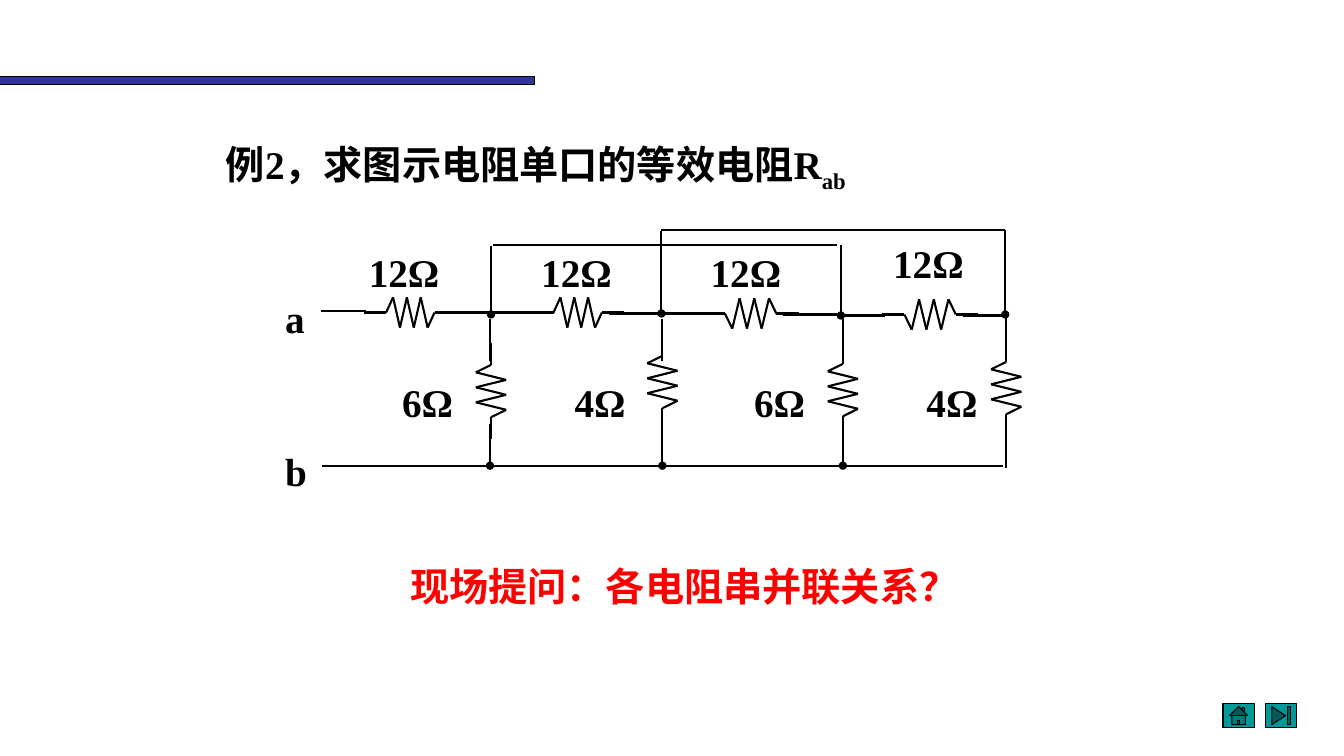
from dataclasses import dataclass
from pptx import Presentation
from pptx.dml.color import RGBColor as RGB
from pptx.enum.shapes import MSO_CONNECTOR as CONN, MSO_SHAPE as SHAPE
from pptx.enum.text import MSO_ANCHOR as ANCHOR, MSO_AUTO_SIZE as AUTO, PP_ALIGN as ALIGN
from pptx.oxml.ns import qn
from pptx.util import Inches, Pt
from lxml.etree import SubElement


@dataclass(frozen=True)
class Theme:
    ink: RGB = RGB(0, 0, 0)
    accent: RGB = RGB(0xFF, 0, 0)
    bar: RGB = RGB(0x33, 0x33, 0x99)
    button: RGB = RGB(0, 0x99, 0x99)
    latin: str = "Times New Roman"
    cjk: str = "Noto Sans CJK SC"
    size: float = 28
    wire: float = 1.5
    outline: float = 0.75


@dataclass(frozen=True)
class Panel:
    kind: SHAPE
    x: float
    y: float
    w: float
    h: float
    fill: RGB


@dataclass(frozen=True)
class Label:
    text: str
    x: float
    y: float
    w: float
    wrap: bool = False


@dataclass(frozen=True)
class Wire:
    x1: float
    y1: float
    x2: float
    y2: float
    node: bool = False


@dataclass(frozen=True)
class Resistor:
    x: float
    y: float
    length: float
    side: int
    vertical: bool = False


THEME = Theme()
SWING = 0.15
LEAD = 0.22
TURNS = 7

PANELS = [
    Panel(SHAPE.RECTANGLE, 0, 0.76, 5.3, 0.08, THEME.bar),
    Panel(SHAPE.ACTION_BUTTON_HOME, 12.13, 6.98, 0.31, 0.24, THEME.button),
    Panel(SHAPE.ACTION_BUTTON_END, 12.55, 6.98, 0.31, 0.24, THEME.button),
]
LABELS = [
    Label("12Ω", 3.56, 2.41, 0.91),
    Label("12Ω", 5.27, 2.41, 1.16, True),
    Label("12Ω", 6.95, 2.41, 0.91),
    Label("12Ω", 8.76, 2.33, 0.91),
    Label("6Ω", 3.89, 3.7, 0.71),
    Label("4Ω", 5.6, 3.7, 0.71),
    Label("6Ω", 7.38, 3.7, 0.71),
    Label("4Ω", 9.09, 3.7, 0.71),
    Label("a", 2.73, 2.87, 0.4),
    Label("b", 2.73, 4.39, 0.42),
]
RESISTORS = [
    Resistor(3.83, 3.1, 0.48, -1),
    Resistor(5.49, 3.1, 0.48, -1),
    Resistor(7.19, 3.11, 0.51, 1),
    Resistor(8.97, 3.12, 0.51, 1),
    Resistor(4.87, 3.62, 0.52, -1, True),
    Resistor(6.57, 3.53, 0.52, -1, True),
    Resistor(8.36, 3.61, 0.52, -1, True),
    Resistor(9.98, 3.59, 0.52, -1, True),
]
WIRES = [
    Wire(3.18, 3.09, 3.63, 3.09),
    Wire(4.37, 3.1, 4.94, 3.1),
    Wire(4.85, 3.1, 5.3, 3.1),
    Wire(6.04, 3.11, 6.61, 3.11),
    Wire(6.57, 3.11, 7, 3.11),
    Wire(7.77, 3.12, 8.3, 3.12),
    Wire(8.36, 3.13, 8.78, 3.13),
    Wire(9.55, 3.13, 9.98, 3.13),
    Wire(4.87, 2.44, 4.87, 3.12, True),
    Wire(6.56, 2.29, 6.56, 3.11, True),
    Wire(8.34, 2.43, 8.34, 3.13, True),
    Wire(9.97, 2.28, 9.97, 3.12, True),
    Wire(4.89, 2.43, 8.3, 2.43),
    Wire(6.56, 2.28, 9.97, 2.28),
    *(Wire(x, 3.16, x, 3.58) for x in (4.86, 6.57, 8.36)),
    *(Wire(x, 4.21, x, 4.62, True) for x in (4.86, 6.57, 8.36)),
    Wire(9.98, 3.1, 9.98, 3.51),
    Wire(9.98, 4.22, 9.98, 4.64),
    Wire(3.19, 4.62, 9.95, 4.62),
]


def place(sp, x: float, y: float, w: float, h: float) -> None:
    sp.left, sp.top, sp.width, sp.height = map(Inches, (x, y, w, h))


def add_run(p, text: str, color: RGB, latin: str, baseline: int = 0) -> None:
    r = p.add_run()
    r.text = text
    r.font.size = Pt(THEME.size)
    r.font.bold = True
    r.font.name = latin
    r.font.color.rgb = color
    rpr = r.font._element
    SubElement(rpr, qn("a:ea")).set("typeface", THEME.cjk)
    if baseline:
        rpr.set("baseline", str(baseline))


def add_title(s) -> None:
    sp = s.shapes.title
    place(sp, 2.24, 1.39, 8.42, 0.47)
    tf = sp.text_frame
    tf.margin_left = tf.margin_right = tf.margin_top = tf.margin_bottom = 0
    tf.vertical_anchor = ANCHOR.TOP
    tf.word_wrap = True
    tf.auto_size = AUTO.SHAPE_TO_FIT_TEXT
    p = tf.paragraphs[0]
    p.alignment = ALIGN.JUSTIFY
    add_run(p, "例2，求图示电阻单口的等效电阻R", THEME.ink, THEME.latin)
    add_run(p, "ab", THEME.ink, THEME.latin, -25000)


def add_panel(s, panel: Panel) -> None:
    sp = s.shapes.add_shape(panel.kind, *map(Inches, (panel.x, panel.y, panel.w, panel.h)))
    sp.shadow.inherit = False
    sp.fill.solid()
    sp.fill.fore_color.rgb = panel.fill
    sp.line.color.rgb = THEME.ink
    sp.line.width = Pt(THEME.outline)


def add_label(s, label: Label, color: RGB = THEME.ink, latin: str = THEME.latin) -> None:
    sp = s.shapes.add_textbox(*map(Inches, (label.x, label.y, label.w, 0.57)))
    tf = sp.text_frame
    tf.word_wrap = label.wrap
    tf.auto_size = AUTO.SHAPE_TO_FIT_TEXT
    add_run(tf.paragraphs[0], label.text, color, latin)


def add_wire(s, wire: Wire) -> None:
    ends = map(Inches, (wire.x1, wire.y1, wire.x2, wire.y2))
    cn = s.shapes.add_connector(CONN.STRAIGHT, *ends)
    cn.line.color.rgb = THEME.ink
    cn.line.width = Pt(THEME.wire)
    if wire.node:
        SubElement(cn.line._get_or_add_ln(), qn("a:tailEnd")).set("type", "oval")
    SubElement(cn._element.spPr, qn("a:effectLst"))


def add_resistor(s, res: Resistor) -> None:
    step = res.length / TURNS
    peaks = [(i * step, res.side * SWING * (-1) ** (i - 1)) for i in range(1, TURNS)]
    track = [(-LEAD, 0), (0, 0), *peaks, (res.length, 0), (res.length + LEAD, 0)]
    points = [
        (res.x + across, res.y + along) if res.vertical else (res.x + along, res.y + across)
        for along, across in track
    ]
    for start, end in zip(points, points[1:]):
        add_wire(s, Wire(*start, *end))


def main() -> None:
    prs = Presentation()
    prs.slide_width, prs.slide_height = Inches(13.33), Inches(7.5)
    s = prs.slides.add_slide(prs.slide_layouts[5])
    for panel in PANELS:
        add_panel(s, panel)
    add_title(s)
    for wire in WIRES:
        add_wire(s, wire)
    for res in RESISTORS:
        add_resistor(s, res)
    for label in LABELS:
        add_label(s, label)
    question = Label("现场提问：各电阻串并联关系？", 3.97, 5.53, 5.72)
    add_label(s, question, THEME.accent, THEME.cjk)
    prs.save("out.pptx")


if __name__ == "__main__":
    main()
